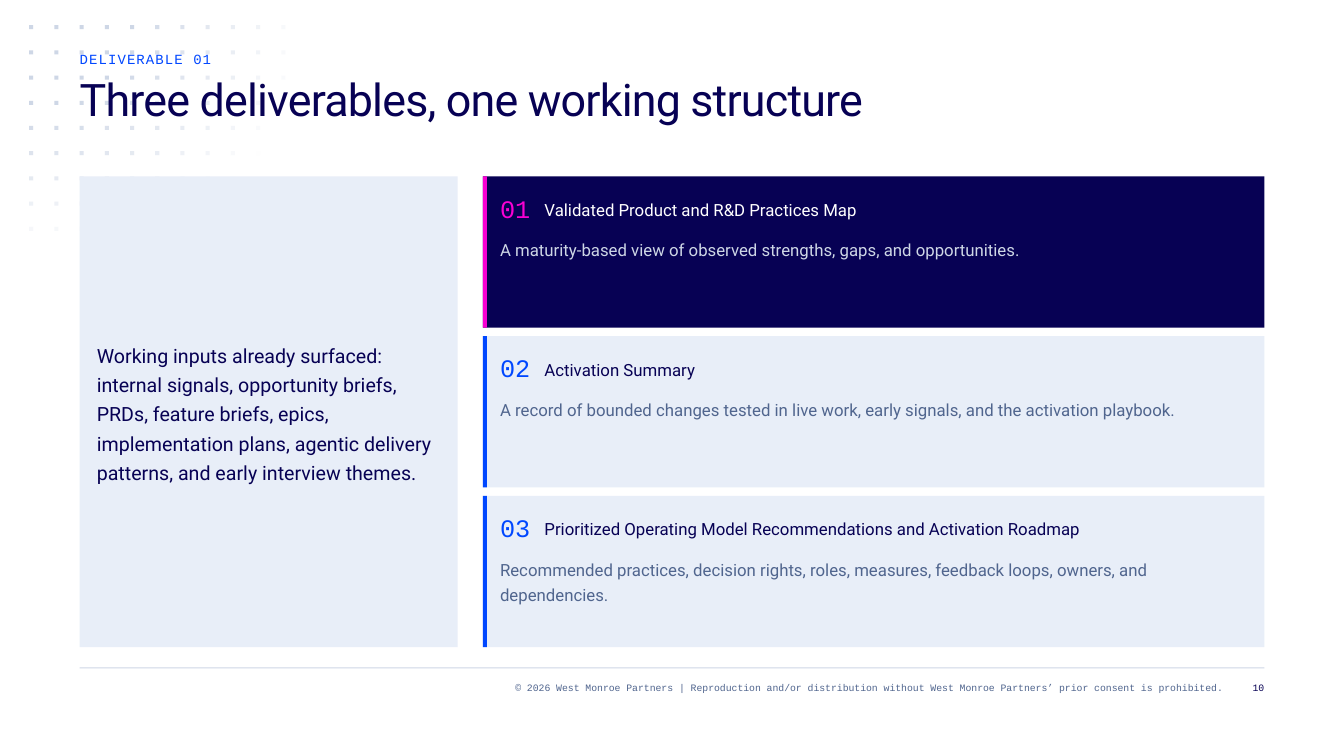
"""Build the slide that presents three deliverables beside their working inputs."""
from pptx import Presentation
from pptx import util as u
from pptx.dml.color import RGBColor
from pptx.enum import shapes, text
from pptx.oxml.ns import qn
from lxml import etree

NAVY = RGBColor(0x07, 0x01, 0x54)
BLUE = RGBColor(0x00, 0x47, 0xFF)
PINK = RGBColor(0xF9, 0x00, 0xD3)
PALE = RGBColor(0xE8, 0xEE, 0xF8)
MIST = RGBColor(0xCE, 0xD7, 0xE6)
SLATE = RGBColor(0x50, 0x65, 0x8E)
WHITE = RGBColor(0xFF, 0xFF, 0xFF)
SANS, MONO = "Roboto", "Courier New"

EYEBROW = "DELIVERABLE 01"
TITLE = "Three deliverables, one working structure"
INPUTS = ("Working inputs already surfaced: internal signals, opportunity briefs, PRDs, "
          "feature briefs, epics, implementation plans, agentic delivery patterns, "
          "and early interview themes.")
DELIVERABLES = [
    ("Validated Product and R&D Practices Map",
     "A maturity-based view of observed strengths, gaps, and opportunities.",
     NAVY, PINK, WHITE, MIST),
    ("Activation Summary",
     "A record of bounded changes tested in live work, early signals, and the activation playbook.",
     PALE, BLUE, NAVY, SLATE),
    ("Prioritized Operating Model Recommendations and Activation Roadmap",
     "Recommended practices, decision rights, roles, measures, feedback loops, owners, "
     "and dependencies.",
     PALE, BLUE, NAVY, SLATE),
]
COPYRIGHT = ("© 2026 West Monroe Partners | Reproduction and/or distribution without "
             "West Monroe Partners’ prior consent is prohibited.")
PAGE = "10"

DOT_OPACITY_BY_COLUMN = [
    (100, 100, 100, 100, 85, 69, 52, 35, 18),
    (100, 100, 100, 100, 84, 67, 51, 34, 17),
    (100, 100, 100, 95, 80, 64, 48, 32, 15),
    (100, 100, 100, 87, 73, 59, 43),
    (98, 95, 88, 77, 65, 52, 37),
    (84, 81, 76, 67, 56, 43, 30),
    (70, 68, 63, 55, 46, 34, 22),
    (56, 55, 50, 43, 35, 24, 13),
    (42, 41, 37, 31, 23, 14, 3),
    (29, 27, 24, 18, 11, 2),
    (15, 14, 11, 6),
]
DOT_LEFT, DOT_TOP, DOT_PITCH, DOT_SIZE = 0.29, 0.25, 0.25, 0.04

LEFT, RIGHT, BODY_TOP, BODY_HEIGHT = 0.79, 12.54, 1.75, 4.67
INPUTS_WIDTH, CARD_LEFT, CARD_HEIGHT = 3.75, 4.79, 1.5
CARD_PITCH = (BODY_HEIGHT - CARD_HEIGHT) / (len(DELIVERABLES) - 1)
PADDING = 0.17


def add_block(parent, left, top, width, height, color, opacity=100):
    shape = parent.shapes.add_shape(
        shapes.MSO_SHAPE.RECTANGLE, *map(u.Inches, (left, top, width, height)))
    shape.shadow.inherit = False
    shape.fill.solid()
    shape.fill.fore_color.rgb = color
    shape.line.fill.background()
    if opacity < 100:
        fill_color = shape.fill._xPr.find(".//" + qn("a:srgbClr"))
        etree.SubElement(fill_color, qn("a:alpha"), val=str(opacity * 1000))


def add_text(parent, left, top, width, height, words, size, spacing, color,
             face=SANS, align=text.PP_ALIGN.LEFT, tracking=0):
    box = parent.shapes.add_textbox(*map(u.Inches, (left, top, width, height)))
    frame = box.text_frame
    frame.word_wrap = True
    frame.margin_left = frame.margin_right = frame.margin_top = frame.margin_bottom = 0
    paragraph = frame.paragraphs[0]
    paragraph.text = words
    paragraph.alignment = align
    paragraph.line_spacing = u.Pt(spacing)
    font = paragraph.font
    font.name, font.size, font.color.rgb = face, u.Pt(size), color
    if tracking:
        paragraph.runs[0]._r.get_or_add_rPr().set("spc", str(tracking))


def add_card(slide, index, deliverable):
    name, summary, background, accent, name_color, summary_color = deliverable
    top = BODY_TOP + index * CARD_PITCH
    content_left = CARD_LEFT + PADDING
    content_right = RIGHT - 0.12
    name_left = content_left + 0.44
    group = slide.shapes.add_group_shape()
    add_block(group, CARD_LEFT, top, RIGHT - CARD_LEFT, CARD_HEIGHT, background)
    add_block(group, CARD_LEFT, top, 0.04, CARD_HEIGHT, accent)
    add_text(group, content_left, top + 0.13, 0.31, 0.33, f"{index + 1:02}", 18, 24, accent, MONO)
    add_text(group, name_left, top + 0.18, content_right - name_left, 0.25,
             name, 12, 18, name_color)
    add_text(group, content_left, top + 0.58, content_right - content_left, 0.5,
             summary, 12, 18, summary_color)


def main():
    presentation = Presentation()
    presentation.slide_width, presentation.slide_height = u.Inches(13.33), u.Inches(7.5)
    slide = presentation.slides.add_slide(presentation.slide_layouts[6])

    add_block(slide, LEFT, 6.62, RIGHT - LEFT, 0.01, MIST)
    for column, opacities in enumerate(DOT_OPACITY_BY_COLUMN):
        for row, opacity in enumerate(opacities):
            add_block(slide, DOT_LEFT + column * DOT_PITCH, DOT_TOP + row * DOT_PITCH,
                      DOT_SIZE, DOT_SIZE, MIST, opacity)

    right = text.PP_ALIGN.RIGHT
    add_text(slide, 2.38, 6.75, 9.75, 0.25, COPYRIGHT, 7, 9, SLATE, MONO, right)
    add_text(slide, 12.21, 6.75, 0.33, 0.25, PAGE, 7, 9, NAVY, MONO, right)

    for index, deliverable in enumerate(DELIVERABLES):
        add_card(slide, index, deliverable)

    inputs = slide.shapes.add_group_shape()
    add_block(inputs, LEFT, BODY_TOP, INPUTS_WIDTH, BODY_HEIGHT, PALE)
    add_text(inputs, LEFT + PADDING, 3.35, INPUTS_WIDTH - 2 * PADDING, 1.46,
             INPUTS, 14, 21, NAVY)

    add_text(slide, LEFT, 0.75, 10.25, 1, TITLE, 32, 36, NAVY, tracking=-60)
    add_text(slide, LEFT, 0.5, 10.25, 0.25, EYEBROW, 10, 12, BLUE, MONO, tracking=80)
    presentation.save("out.pptx")


if __name__ == "__main__":
    main()
